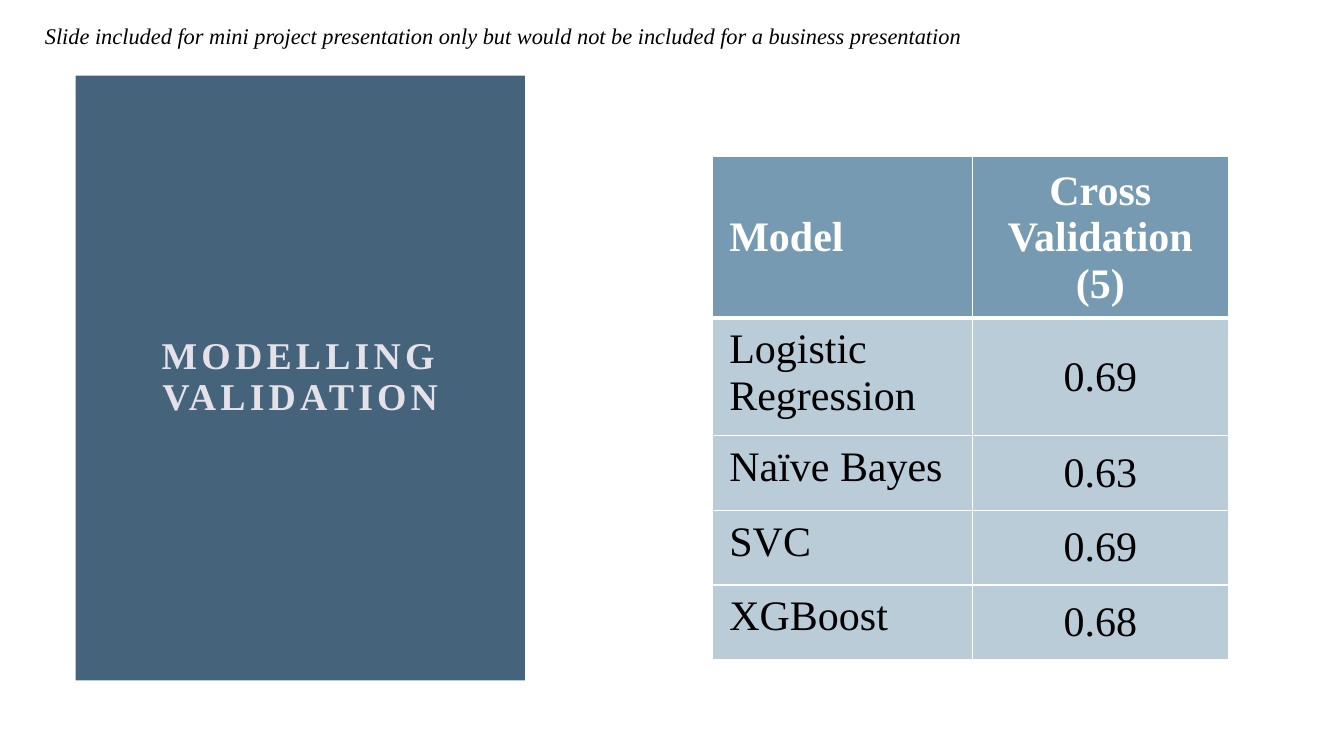
from dataclasses import dataclass

from pptx import Presentation
from pptx.dml.color import RGBColor
from pptx.enum.shapes import MSO_SHAPE
from pptx.enum.text import MSO_ANCHOR as Anchor, PP_ALIGN as Align
from pptx.oxml import parse_xml
from pptx.oxml.ns import nsdecls
from pptx.util import Pt


@dataclass(frozen=True)
class Theme:
    font: str = "Times New Roman"
    panel: str = "45647B"
    title: str = "E4E2E8"
    header: str = "779AB3"
    body: str = "BBCCD9"
    white: str = "FFFFFF"
    black: str = "000000"
    note_size: int = 16
    title_size: int = 27
    table_size: int = 30


THEME = Theme()
SCORES = [
    ("Model", "Cross Validation (5)"),
    ("Logistic Regression", "0.69"),
    ("Naïve Bayes", "0.63"),
    ("SVC", "0.69"),
    ("XGBoost", "0.68"),
]


def write(frame, text, size, color, align=Align.LEFT, bold=False, italic=False):
    """Fill the first paragraph, format its runs and return it."""
    paragraph = frame.paragraphs[0]
    paragraph.text = text
    paragraph.alignment = align
    for run in paragraph.runs:
        font = run.font
        font.name, font.size = THEME.font, Pt(size)
        font.bold, font.italic = bold, italic
        font.color.rgb = RGBColor.from_string(color)
    return paragraph


def add_note(slide, left, top, width, height):
    note = slide.shapes.add_textbox(Pt(left), Pt(top), Pt(width), Pt(height)).text_frame
    note.word_wrap = True
    write(note, "Slide included for mini project presentation only but would "
          "not be included for a business presentation",
          THEME.note_size, THEME.black, italic=True)


def add_title_panel(slide, left, top, width, height, inset=54):
    panel = slide.shapes.add_shape(
        MSO_SHAPE.RECTANGLE, Pt(left), Pt(top), Pt(width), Pt(height))
    panel.shadow.inherit = False
    panel.fill.solid()
    panel.fill.fore_color.rgb = RGBColor.from_string(THEME.panel)
    panel.line.fill.background()

    title = slide.shapes.add_textbox(
        Pt(left + inset), Pt(top + inset),
        Pt(width - 2 * inset), Pt(height - 2 * inset)).text_frame
    title.word_wrap = True
    title.vertical_anchor = Anchor.MIDDLE
    title.margin_left = title.margin_right = 0
    heading = write(title, "MODELLING\nVALIDATION", THEME.title_size,
                    THEME.title, Align.CENTER, bold=True)
    heading.line_spacing = 0.9
    for run in heading.runs:
        run.font._element.set("spc", "300")


def set_borders(cell, top, bottom):
    """Draw white cell edges; top and bottom are widths in points."""
    properties = cell._tc.get_or_add_tcPr()
    edges = [("lnL", 1), ("lnR", 1), ("lnT", top), ("lnB", bottom)]
    for position, (edge, width) in enumerate(edges):
        properties.insert(position, parse_xml(
            f'<a:{edge} {nsdecls("a")} w="{Pt(width)}"><a:solidFill>'
            f'<a:srgbClr val="{THEME.white}"/></a:solidFill></a:{edge}>'))


def add_score_table(slide, left, top, column_widths, row_heights):
    table = slide.shapes.add_table(
        len(SCORES), len(column_widths), Pt(left), Pt(top),
        Pt(sum(column_widths)), Pt(sum(row_heights))).table
    for column, width in zip(table.columns, column_widths):
        column.width = Pt(width)
    for r, (row, height) in enumerate(zip(table.rows, row_heights)):
        row.height = Pt(height)
        is_header = r == 0
        for c, cell in enumerate(row.cells):
            is_score = c == 1
            cell.fill.solid()
            cell.fill.fore_color.rgb = RGBColor.from_string(
                THEME.header if is_header else THEME.body)
            cell.vertical_anchor = (
                Anchor.MIDDLE if is_header or is_score else Anchor.TOP)
            if not is_score:
                cell.margin_left = cell.margin_right = Pt(12)
                cell.margin_top = cell.margin_bottom = Pt(6)
            write(cell.text_frame, SCORES[r][c], THEME.table_size,
                  THEME.white if is_header else THEME.black,
                  Align.CENTER if is_score else Align.LEFT, bold=is_header)
            set_borders(cell, top=3 if r == 1 else 1, bottom=3 if is_header else 1)


def main():
    deck = Presentation()
    deck.slide_width, deck.slide_height = Pt(960), Pt(540)
    slide = deck.slides.add_slide(deck.slide_layouts[6])
    add_title_panel(slide, 54, 54, 321, 432)
    add_score_table(slide, 509, 112, [185.5, 183], [106.5, 78] + [53.3] * 3)
    add_note(slide, 25, 12.5, 909, 26.5)
    deck.save("out.pptx")


if __name__ == "__main__":
    main()
